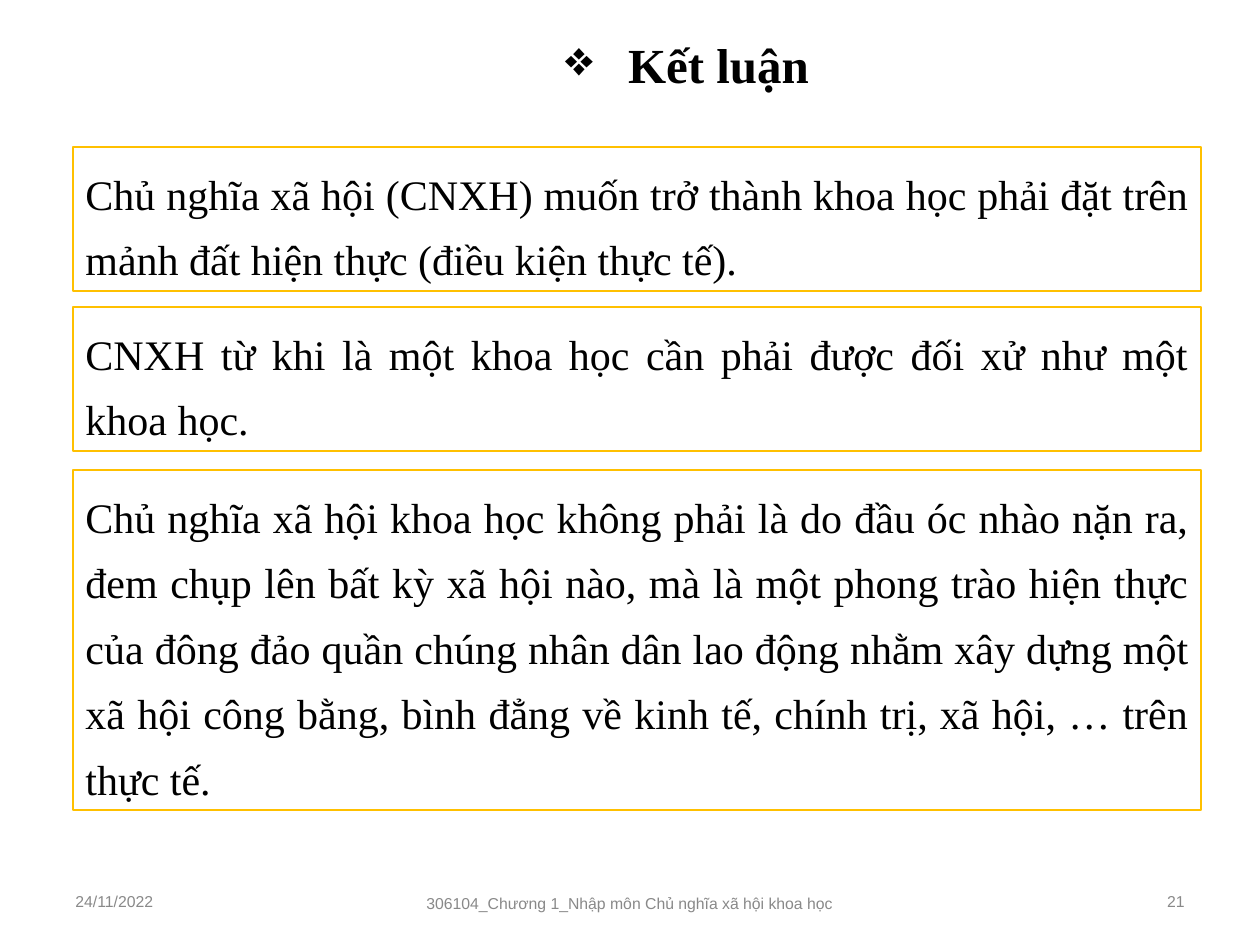
from lxml import etree
from pptx import Presentation
from pptx import util as u
from pptx.dml.color import RGBColor
from pptx.enum import shapes, text
from pptx.oxml.ns import qn

BLACK = RGBColor(0x00, 0x00, 0x00)
GOLD = RGBColor(0xFF, 0xC0, 0x00)
GREY = RGBColor(0x89, 0x89, 0x89)
SERIF, SANS = "Times New Roman", "Arial"
ALIGN, ANCHOR = text.PP_ALIGN, text.MSO_ANCHOR

LEFT, WIDTH = 73, 1128
POINTS = [
    (147, 144, "Chủ nghĩa xã hội (CNXH) muốn trở thành khoa học phải đặt trên "
               "mảnh đất hiện thực (điều kiện thực tế)."),
    (307, 144, "CNXH từ khi là một khoa học cần phải được đối xử như một khoa học."),
    (470, 340, "Chủ nghĩa xã hội khoa học không phải là do đầu óc nhào nặn ra, "
               "đem chụp lên bất kỳ xã hội nào, mà là một phong trào hiện thực "
               "của đông đảo quần chúng nhân dân lao động nhằm xây dựng một "
               "xã hội công bằng, bình đẳng về kinh tế, chính trị, xã hội, … "
               "trên thực tế."),
]
FOOTER = [
    (63, 876, 294, "24/11/2022", ALIGN.LEFT),
    (404, 878, 451, "306104_Chương 1_Nhập môn Chủ nghĩa xã hội khoa học", ALIGN.CENTER),
    (903, 876, 294, "21", ALIGN.RIGHT),
]


def px(count):
    return u.Emu(round(count * 914400 / 126))


def write(shape, words, size, font, color, align, anchor=ANCHOR.TOP):
    """Fill the shape with one paragraph and return that paragraph."""
    frame = shape.text_frame
    frame.text = words
    frame.word_wrap = True
    frame.vertical_anchor = anchor
    para = frame.paragraphs[0]
    para.alignment = align
    style = para.runs[0].font
    style.size, style.name = u.Pt(size), font
    style.color.rgb = color
    return para


def add_bullet(para, char, indent):
    props = para._p.get_or_add_pPr()
    props.set("marL", str(indent))
    props.set("indent", str(-indent))
    tint = etree.SubElement(props, qn("a:buClr"))
    etree.SubElement(tint, qn("a:srgbClr"), val=str(BLACK))
    etree.SubElement(props, qn("a:buChar"), char=char)


def add_title(slide, words):
    box = slide.shapes.add_textbox(px(242), px(28), px(890), px(72))
    para = write(box, words, 28, SERIF, BLACK, ALIGN.CENTER)
    para.space_before = u.Pt(17.5)
    para.runs[0].font.bold = True
    add_bullet(para, "❖", px(63))


def add_point(slide, top, height, words):
    box = slide.shapes.add_shape(shapes.MSO_SHAPE.RECTANGLE,
                                 px(LEFT), px(top), px(WIDTH), px(height))
    box.shadow.inherit = False
    box.fill.background()
    box.line.color.rgb = GOLD
    box.line.width = u.Pt(0.75)
    para = write(box, words, 24, SERIF, BLACK, ALIGN.JUSTIFY)
    para.line_spacing = 1.3
    para.space_before = u.Pt(15)


def add_footer(slide, left, top, width, words, align):
    box = slide.shapes.add_textbox(px(left), px(top), px(width), px(50))
    write(box, words, 9, SANS, GREY, align, ANCHOR.MIDDLE)


def main():
    deck = Presentation()
    deck.slide_width, deck.slide_height = px(1260), px(945)
    slide = deck.slides.add_slide(deck.slide_layouts[6])
    add_title(slide, "Kết luận")
    for point in POINTS:
        add_point(slide, *point)
    for part in FOOTER:
        add_footer(slide, *part)
    deck.save("out.pptx")


if __name__ == "__main__":
    main()
